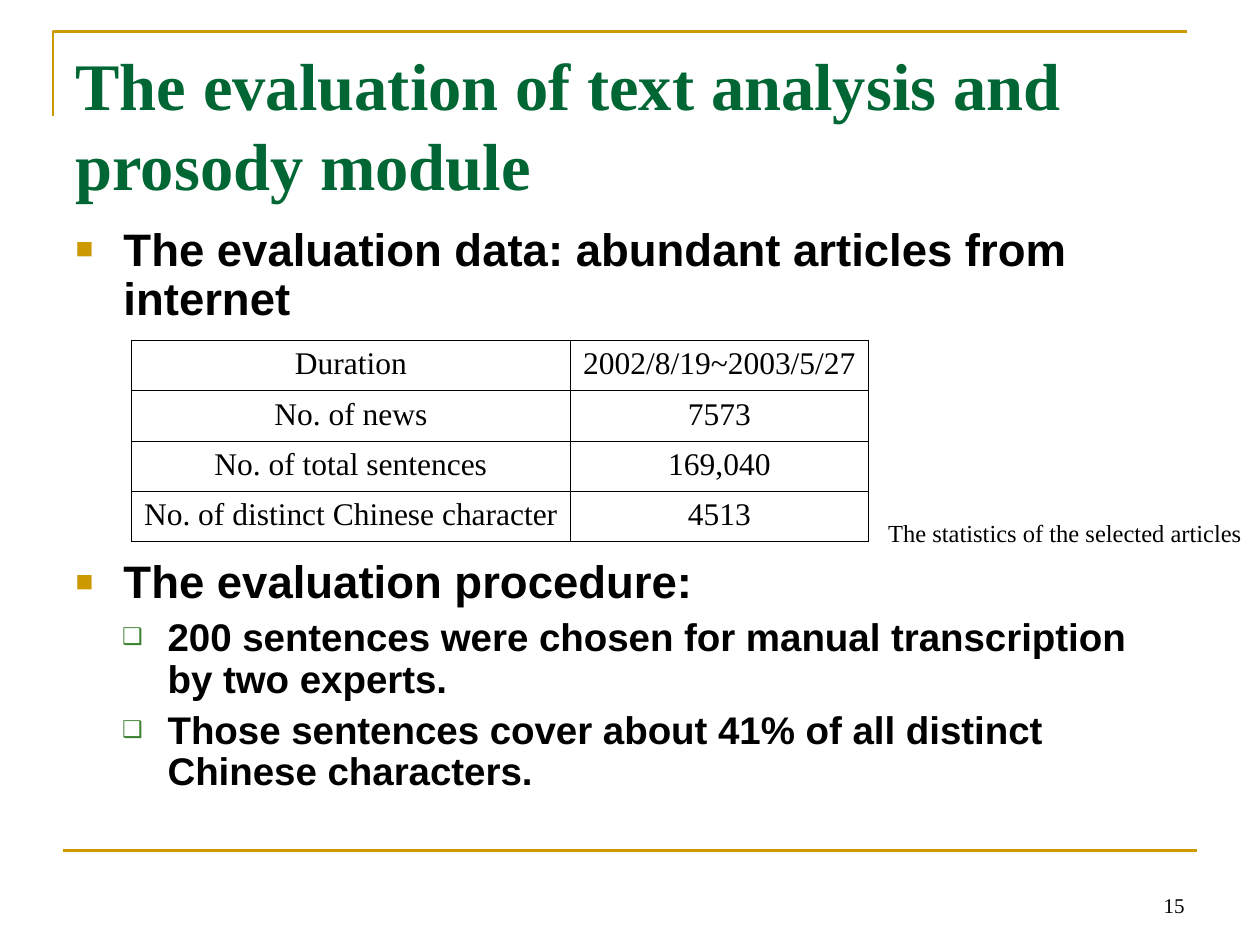
"""Build the slide on the evaluation of the text analysis and prosody module."""
from dataclasses import dataclass

from lxml.etree import SubElement
from pptx import Presentation
from pptx.dml.color import RGBColor as RGB
from pptx.enum.shapes import MSO_CONNECTOR as CONN
from pptx.enum.text import MSO_ANCHOR as ANCHOR, MSO_AUTO_SIZE as AUTOSIZE, PP_ALIGN as ALIGN
from pptx.oxml.ns import qn
from pptx.util import Inches, Pt

TITLE = "The evaluation of text analysis and prosody module"
BODY = [
    (0, "The evaluation data: abundant articles from internet", 0),
    (0, "The evaluation procedure:", 134),
    (1, "200 sentences were chosen for manual transcription by two experts.", 5.5),
    (1, "Those sentences cover about 41% of all distinct Chinese characters.", 5.5),
]
STATISTICS = [
    ("Duration", "2002/8/19~2003/5/27"),
    ("No. of news", "7573"),
    ("No. of total sentences", "169,040"),
    ("No. of distinct Chinese character", "4513"),
]
COLUMN_WIDTHS = (3.49, 2.36)
ROW_HEIGHT = 0.4
CELL_MARGIN = 0.05
CAPTION = "The statistics of the selected articles"
PAGE_NUMBER = "15"


@dataclass(frozen=True)
class Theme:
    serif: str = "Times New Roman"
    sans: str = "Arial"
    gold: str = "CC9900"
    green: str = "006633"
    leaf: str = "3B812F"
    black: str = "000000"
    title: int = 38
    body: tuple = (26, 22)
    cell: int = 18
    caption: int = 14
    number: int = 12
    rule: float = 1.5
    border: float = 0.45


THEME = Theme()
BULLETS = [
    ("■", THEME.gold, 65, 0.38, -0.38),
    ("❑", THEME.leaf, 60, 0.73, -0.36),
]


def write(paragraph, text, size, font=THEME.serif, color=THEME.black, bold=False, align=ALIGN.LEFT):
    paragraph.alignment = align
    run = paragraph.add_run()
    run.text = text
    run.font.size = Pt(size)
    run.font.name = font
    run.font.bold = bold
    run.font.color.rgb = RGB.from_string(color)


def place(shape, left, top, width, height, anchor=ANCHOR.TOP, wrap=True):
    shape.left, shape.top = Inches(left), Inches(top)
    shape.width, shape.height = Inches(width), Inches(height)
    frame = shape.text_frame
    frame.auto_size = AUTOSIZE.NONE
    frame.word_wrap = wrap
    frame.vertical_anchor = anchor
    return frame


def add_bullet(paragraph, char, color, percent, margin, indent):
    props = paragraph._p.get_or_add_pPr()
    props.set("marL", str(Inches(margin)))
    props.set("indent", str(Inches(indent)))
    SubElement(SubElement(props, qn("a:buClr")), qn("a:srgbClr"), val=color)
    SubElement(props, qn("a:buSzPct"), val=str(percent * 1000))
    SubElement(props, qn("a:buFont"), typeface=THEME.sans)
    SubElement(props, qn("a:buChar"), char=char)


def add_borders(cell):
    props = cell._tc.get_or_add_tcPr()
    for side in ("a:lnL", "a:lnR", "a:lnT", "a:lnB"):
        line = SubElement(props, qn(side), w=str(Pt(THEME.border)))
        SubElement(SubElement(line, qn("a:solidFill")), qn("a:srgbClr"), val=THEME.black)


def draw_frame(slide):
    builder = slide.shapes.build_freeform(Inches(0.42), Inches(0.92))
    builder.add_line_segments([(Inches(0.42), Inches(0.25)), (Inches(9.42), Inches(0.25))], close=False)
    corner = builder.convert_to_shape()
    corner.shadow.inherit = False
    corner.fill.background()
    footer_rule = slide.shapes.add_connector(
        CONN.STRAIGHT, Inches(0.5), Inches(6.75), Inches(9.5), Inches(6.75))
    SubElement(footer_rule._element.spPr, qn("a:effectLst"))
    for rule in (corner, footer_rule):
        rule.line.color.rgb = RGB.from_string(THEME.gold)
        rule.line.width = Pt(THEME.rule)


def fill_body(frame):
    for index, (level, text, space) in enumerate(BODY):
        paragraph = frame.add_paragraph() if index else frame.paragraphs[0]
        paragraph.level = level
        paragraph.line_spacing = 0.9
        paragraph.space_before = Pt(space)
        add_bullet(paragraph, *BULLETS[level])
        write(paragraph, text, THEME.body[level], THEME.sans, bold=True)


def add_statistics(slide):
    table = slide.shapes.add_table(
        len(STATISTICS), len(COLUMN_WIDTHS), Inches(1.04), Inches(2.7),
        Inches(sum(COLUMN_WIDTHS)), Inches(ROW_HEIGHT * len(STATISTICS))).table
    table.first_row = table.horz_banding = False
    for column, width in zip(table.columns, COLUMN_WIDTHS):
        column.width = Inches(width)
    for r, values in enumerate(STATISTICS):
        table.rows[r].height = Inches(ROW_HEIGHT)
        for c, value in enumerate(values):
            cell = table.cell(r, c)
            cell.margin_left = cell.margin_right = Inches(CELL_MARGIN)
            add_borders(cell)
            cell.fill.background()
            write(cell.text_frame.paragraphs[0], value, THEME.cell, align=ALIGN.CENTER)


def add_label(slide, text, size, box, anchor, wrap, align):
    frame = place(slide.shapes.add_textbox(0, 0, 0, 0), *box, anchor, wrap)
    write(frame.paragraphs[0], text, size, align=align)


def main():
    deck = Presentation()
    deck.slide_width, deck.slide_height = Inches(10), Inches(7.5)
    slide = deck.slides.add_slide(deck.slide_layouts[1])
    draw_frame(slide)
    title = place(slide.shapes.title, 0.5, 0.3, 9, 1.25)
    write(title.paragraphs[0], TITLE, THEME.title, color=THEME.green, bold=True)
    fill_body(place(slide.placeholders[1], 0.5, 1.75, 8.91, 4.95))
    add_statistics(slide)
    add_label(slide, CAPTION, THEME.caption, (6.95, 4.06, 3.01, 0.34), ANCHOR.MIDDLE, False, ALIGN.LEFT)
    add_label(slide, PAGE_NUMBER, THEME.number, (7.17, 6.83, 2.33, 0.5), ANCHOR.BOTTOM, True, ALIGN.RIGHT)
    deck.save("out.pptx")


if __name__ == "__main__":
    main()
